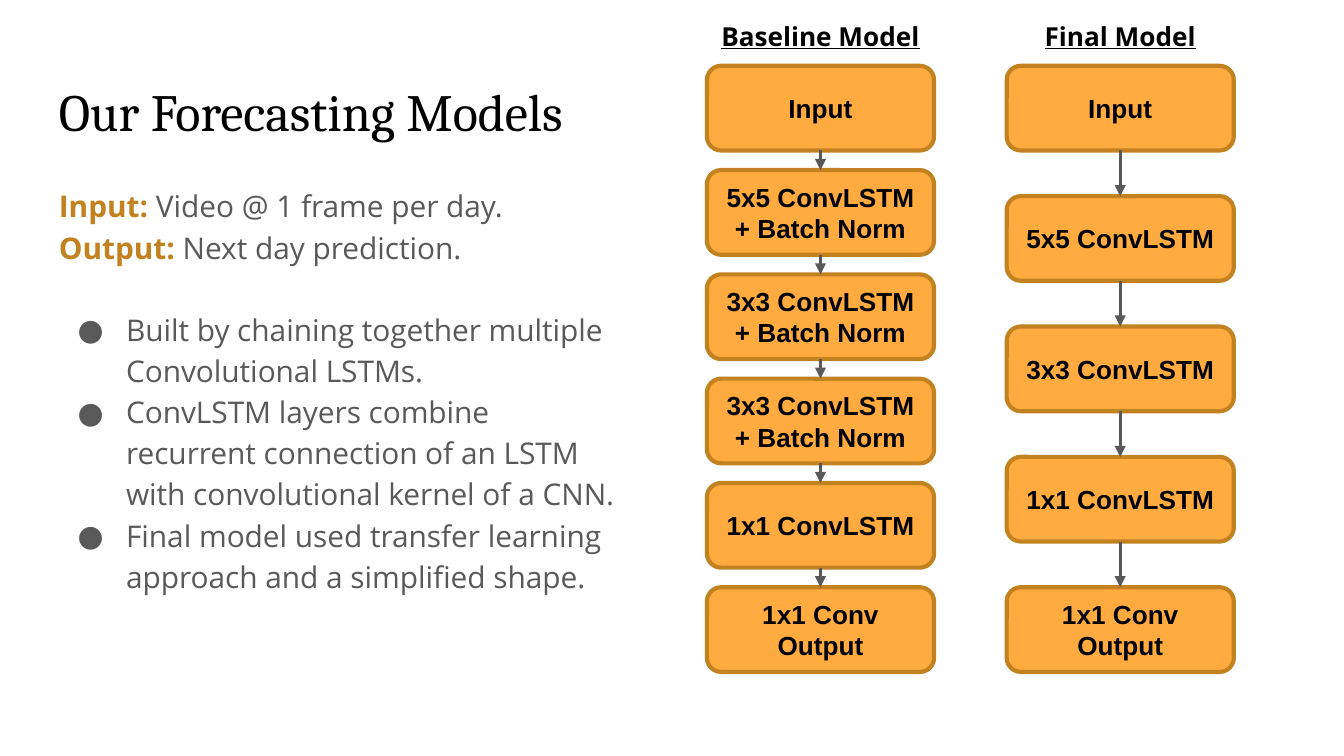
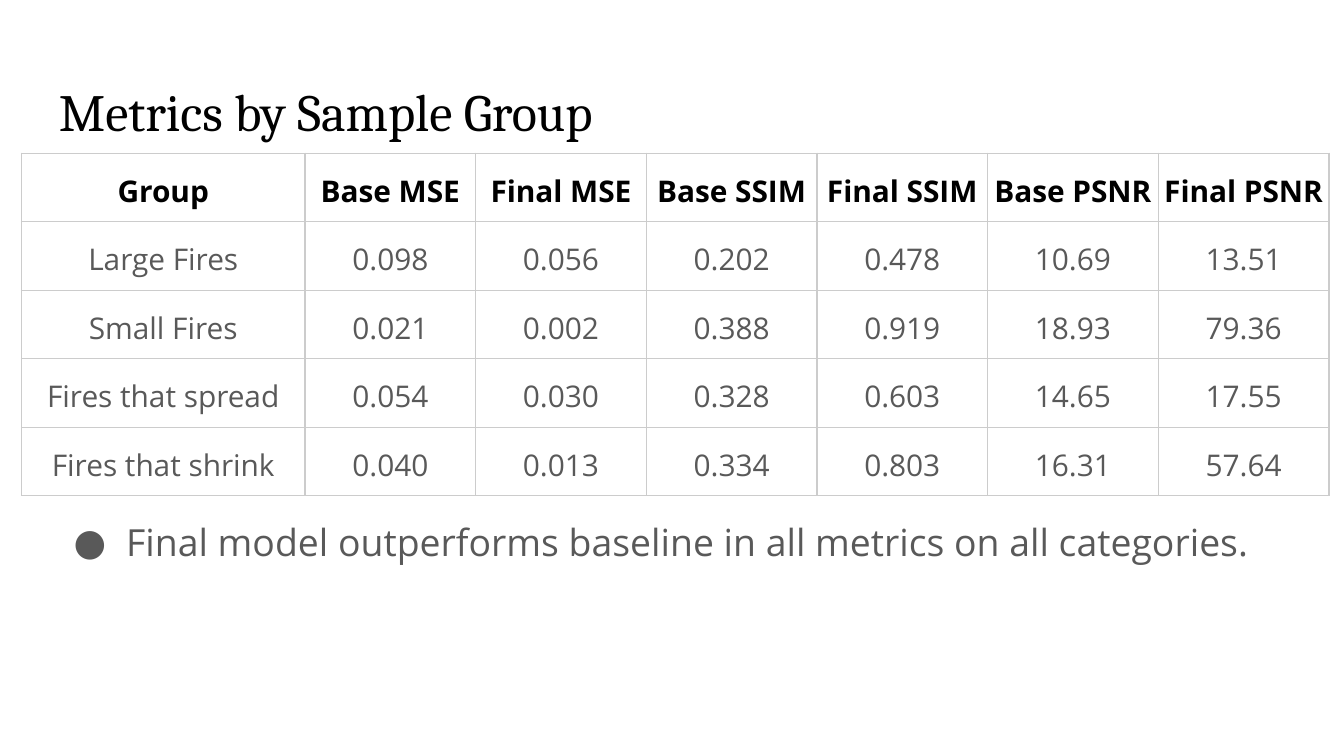
from itertools import pairwise

from lxml.etree import SubElement
from pptx import Presentation
from pptx.dml.color import RGBColor
from pptx.enum.shapes import MSO_CONNECTOR, MSO_SHAPE
from pptx.enum.text import MSO_ANCHOR, PP_ALIGN
from pptx.oxml.ns import qn
from pptx.util import Inches, Pt

COLORS = {
    "black": "000000",
    "body": "595959",
    "accent": "C28220",
    "layer": "FFAB40",
    "grid": "CCCCCC",
}
TITLE_FONT, BODY_FONT, LAYER_FONT = "Cambria", "Open Sans", "Arial"
SLIDE_WIDTH = 10
SLIDE_HEIGHT = SLIDE_WIDTH * 9 / 16
LEFT_MARGIN, FULL_WIDTH = 0.34, 9.32
LAYER_WIDTH, LAYER_HEIGHT = 1.69, 0.63
FIRST_LAYER_TOP, LAST_LAYER_TOP = 0.49, 4.37
LINE_SPACING = 1.15

BASELINE_LAYERS = [
    "Input",
    "5x5 ConvLSTM\v+ Batch Norm",
    "3x3 ConvLSTM\n+ Batch Norm",
    "3x3 ConvLSTM\n+ Batch Norm",
    "1x1 ConvLSTM",
    "1x1 Conv\vOutput",
]
FINAL_LAYERS = ["Input", "5x5 ConvLSTM", "3x3 ConvLSTM", "1x1 ConvLSTM", "1x1 Conv\nOutput"]
DEFINITIONS = [("Input:", " Video @ 1 frame per day."), ("Output:", " Next day prediction.")]
MODEL_POINTS = [
    "Built by chaining together multiple Convolutional LSTMs.",
    "ConvLSTM layers combine recurrent connection of an LSTM with convolutional kernel of a CNN.",
    "Final model used transfer learning approach and a simplified shape.",
]
METRICS = [
    ["Group", "Base MSE", "Final MSE", "Base SSIM", "Final SSIM", "Base PSNR", "Final PSNR"],
    ["Large Fires", "0.098", "0.056", "0.202", "0.478", "10.69", "13.51"],
    ["Small Fires", "0.021", "0.002", "0.388", "0.919", "18.93", "79.36"],
    ["Fires that spread", "0.054", "0.030", "0.328", "0.603", "14.65", "17.55"],
    ["Fires that shrink", "0.040", "0.013", "0.334", "0.803", "16.31", "57.64"],
]


def color(name):
    """Return the named colour."""
    return RGBColor.from_string(COLORS[name])


def format_run(run, font_name, size, color_name, bold=False, underline=False):
    """Set the look of one run."""
    font = run.font
    font.name, font.size = font_name, Pt(size)
    font.bold, font.underline = bold, underline
    font.color.rgb = color(color_name)


def format_text(text_frame, *style, alignment=PP_ALIGN.LEFT, **options):
    """Format every run in a text frame alike."""
    for paragraph in text_frame.paragraphs:
        paragraph.alignment = alignment
        for run in paragraph.runs:
            format_run(run, *style, **options)


def set_margins(text_frame, margin=0.1):
    """Give a text frame the same inset on all sides."""
    text_frame.margin_left = text_frame.margin_right = Inches(margin)
    text_frame.margin_top = text_frame.margin_bottom = Inches(margin)


def add_text_box(slide, left, top, width, height, text=""):
    """Add a wrapping text box and return its text frame."""
    shape = slide.shapes.add_textbox(Inches(left), Inches(top), Inches(width), Inches(height))
    text_frame = shape.text_frame
    text_frame.word_wrap = True
    set_margins(text_frame)
    text_frame.text = text
    return text_frame


def add_titled_slide(presentation, title):
    """Add a blank slide with the shared title."""
    slide = presentation.slides.add_slide(presentation.slide_layouts[6])
    text_frame = add_text_box(slide, LEFT_MARGIN, 0.49, FULL_WIDTH, 1.11, title)
    format_text(text_frame, TITLE_FONT, 28, "black")
    return slide


def make_bullet(paragraph, text, size, hanging):
    """Write a bulleted paragraph."""
    paragraph.text = text
    paragraph.line_spacing = LINE_SPACING
    properties = paragraph._p.get_or_add_pPr()
    properties.set("marL", str(Inches(0.5)))
    properties.set("indent", str(-Inches(hanging)))
    bullet_color = SubElement(properties, qn("a:buClr"))
    SubElement(bullet_color, qn("a:srgbClr"), val=COLORS["body"])
    SubElement(properties, qn("a:buFont"), typeface=BODY_FONT)
    SubElement(properties, qn("a:buChar"), char="●")
    format_run(paragraph.runs[0], BODY_FONT, size, "body")


def add_model_description(slide):
    """Add the input and output lines and the bullets about the models."""
    text_frame = add_text_box(slide, LEFT_MARGIN, 1.26, 4.37, 3.74)
    for index, (term, meaning) in enumerate(DEFINITIONS):
        paragraph = text_frame.add_paragraph() if index else text_frame.paragraphs[0]
        paragraph.line_spacing = LINE_SPACING
        for text, color_name, bold in ((term, "accent", True), (meaning, "body", False)):
            run = paragraph.add_run()
            run.text = text
            format_run(run, BODY_FONT, 16, color_name, bold)
    for index, point in enumerate(MODEL_POINTS):
        paragraph = text_frame.add_paragraph()
        if index == 0:
            paragraph.space_before = Pt(22)
        make_bullet(paragraph, point, 16, 0.36)


def add_layer(slide, left, top, text):
    """Add one rounded network layer."""
    shape = slide.shapes.add_shape(
        MSO_SHAPE.ROUNDED_RECTANGLE,
        Inches(left), Inches(top), Inches(LAYER_WIDTH), Inches(LAYER_HEIGHT),
    )
    shape.shadow.inherit = False
    shape.fill.solid()
    shape.fill.fore_color.rgb = color("layer")
    shape.line.color.rgb = color("accent")
    shape.line.width = Pt(2.25)
    text_frame = shape.text_frame
    text_frame.word_wrap = True
    text_frame.vertical_anchor = MSO_ANCHOR.MIDDLE
    set_margins(text_frame)
    text_frame.text = text
    format_text(text_frame, LAYER_FONT, 14, "black", bold=True, alignment=PP_ALIGN.CENTER)
    return shape


def add_arrow(slide, upper, lower):
    """Join two layers with a downward arrow."""
    connector = slide.shapes.add_connector(MSO_CONNECTOR.STRAIGHT, 0, 0, 0, 0)
    connector.begin_connect(upper, 2)
    connector.end_connect(lower, 0)
    connector.line.color.rgb = color("body")
    connector.line.width = Pt(1.5)
    SubElement(connector.line._get_or_add_ln(), qn("a:tailEnd"), type="triangle")
    SubElement(connector._element.spPr, qn("a:effectLst"))


def add_model(slide, left, name, layer_texts):
    """Add a headed column of evenly spaced layers."""
    step = (LAST_LAYER_TOP - FIRST_LAYER_TOP) / (len(layer_texts) - 1)
    layers = [
        add_layer(slide, left, FIRST_LAYER_TOP + index * step, text)
        for index, text in enumerate(layer_texts)
    ]
    for upper, lower in pairwise(layers):
        add_arrow(slide, upper, lower)
    heading = add_text_box(slide, left, 0.05, LAYER_WIDTH, 0.44, name)
    format_text(heading, BODY_FONT, 14, "black", bold=True, underline=True,
                alignment=PP_ALIGN.CENTER)


def set_borders(cell):
    """Draw thin grid lines on all sides of a cell."""
    properties = cell._tc.get_or_add_tcPr()
    for side in ("lnL", "lnR", "lnT", "lnB"):
        line = SubElement(properties, qn(f"a:{side}"), w=str(Pt(0.75)))
        fill = SubElement(line, qn("a:solidFill"))
        SubElement(fill, qn("a:srgbClr"), val=COLORS["grid"])


def add_metrics_table(slide):
    """Add the table of metrics by sample group."""
    widths = [2.11] + [1.27] * (len(METRICS[0]) - 1)
    row_height = 0.51
    table = slide.shapes.add_table(
        len(METRICS), len(widths), Inches(0.16), Inches(1.14),
        Inches(sum(widths)), Inches(row_height * len(METRICS)),
    ).table
    for column, width in zip(table.columns, widths):
        column.width = Inches(width)
    for row_index, values in enumerate(METRICS):
        table.rows[row_index].height = Inches(row_height)
        is_header = row_index == 0
        for column_index, value in enumerate(values):
            cell = table.cell(row_index, column_index)
            set_borders(cell)
            cell.fill.background()
            cell.vertical_anchor = MSO_ANCHOR.MIDDLE
            cell.margin_left = cell.margin_right = Inches(0.03)
            cell.margin_top = cell.margin_bottom = Inches(0.02)
            cell.text_frame.text = value
            cell.text_frame.paragraphs[0].line_spacing = LINE_SPACING
            format_text(cell.text_frame, BODY_FONT, 16, "black" if is_header else "body",
                        bold=is_header, alignment=PP_ALIGN.CENTER)


def main():
    """Build and save both slides."""
    presentation = Presentation()
    presentation.slide_width = Inches(SLIDE_WIDTH)
    presentation.slide_height = Inches(SLIDE_HEIGHT)

    slide = add_titled_slide(presentation, "Our Forecasting Models")
    add_model_description(slide)
    add_model(slide, 5.26, "Baseline Model", BASELINE_LAYERS)
    add_model(slide, 7.49, "Final Model", FINAL_LAYERS)

    slide = add_titled_slide(presentation, "Metrics by Sample Group")
    add_metrics_table(slide)
    conclusion = add_text_box(slide, LEFT_MARGIN, 3.71, FULL_WIDTH, 1.01)
    make_bullet(conclusion.paragraphs[0],
                "Final model outperforms baseline in all metrics on all categories.", 20, 0.39)

    presentation.save("out.pptx")


if __name__ == "__main__":
    main()
